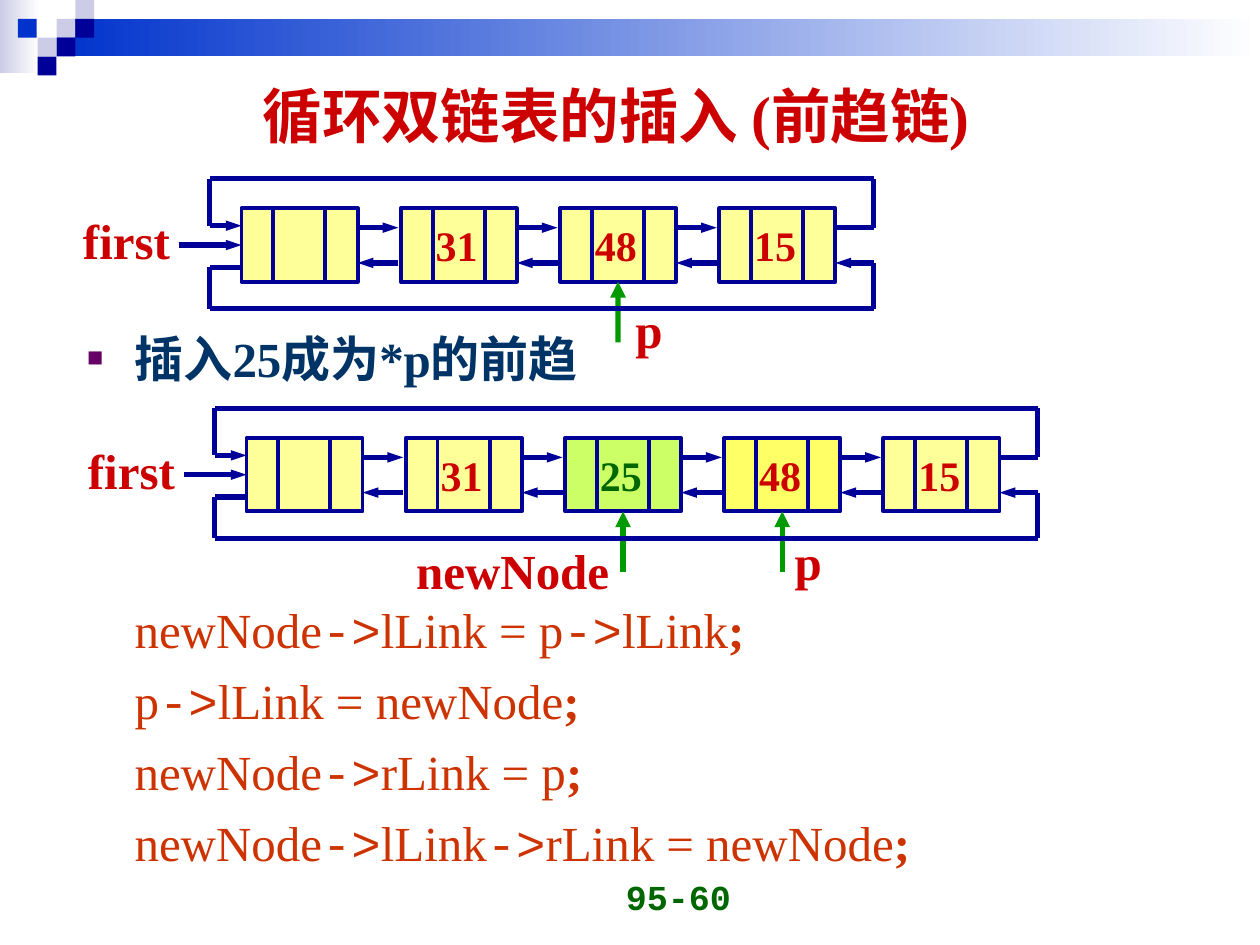
from lxml import etree
from pptx import Presentation
from pptx import util as u
from pptx.dml.color import RGBColor
from pptx.enum import shapes, text
from pptx.oxml import ns

NAVY = RGBColor(0x00, 0x00, 0x99)
BLUE = RGBColor(0x00, 0x33, 0xCC)
LILAC = RGBColor(0xCC, 0xCC, 0xE6)
WHITE = RGBColor(0xFF, 0xFF, 0xFF)
RED = RGBColor(0xCC, 0x00, 0x00)
GREEN = RGBColor(0x00, 0x99, 0x00)
DARK_GREEN = RGBColor(0x00, 0x66, 0x00)
TEAL = RGBColor(0x00, 0x33, 0x66)
RUST = RGBColor(0xCC, 0x33, 0x00)
PALE = RGBColor(0xFF, 0xFF, 0x99)
LIME = RGBColor(0xCC, 0xFF, 0x66)
YELLOW = RGBColor(0xFF, 0xFF, 0x66)
SERIF, MONO = "Times New Roman", "Courier New"

# Content
TITLE = "循环双链表的插入 (前趋链)"
TASK = "插入25成为*p的前趋"
CODE = ["newNode->lLink = p->lLink;", "p->lLink = newNode;",
        "newNode->rLink = p;", "newNode->lLink->rLink = newNode;"]
PAGE = "95-60"
# Nodes: value, fill, text colour
# Pointers: node index, label, label offset from the arrow, label top, width
LISTS = [
    dict(x=4.87, y=4.2,
         nodes=[("", PALE, RED), ("31", PALE, RED), ("48", PALE, RED),
                ("15", PALE, RED)],
         pointers=[(2, "p", 0.1, 1.71, 1.04)]),
    dict(x=4.97, y=8.83,
         nodes=[("", PALE, RED), ("31", PALE, RED), ("25", LIME, DARK_GREEN),
                ("48", YELLOW, RED), ("15", PALE, RED)],
         pointers=[(2, "newNode", -4.42, 1.94, 4.39),
                   (3, "p", 0, 1.76, 1.04)]),
]
# Corner squares: left, top, colour
SQUARES = [(1.14, 0.38, LILAC), (1.52, 0, LILAC), (1.52, 0.38, NAVY),
           (0.76, 0.76, LILAC), (0.36, 0.38, BLUE), (1.14, 0.76, NAVY),
           (0.76, 1.14, NAVY)]

# Diagram measures in cm, relative to a node's corner
PITCH, NODE_W, NODE_H = 3.21, 2.34, 1.48
DIVIDERS = (0.64, 1.69)
NEXT_Y, PREV_Y = 0.39, 1.1
LOOP_TOP, LOOP_BOTTOM = -0.6, 2.02
LOOP_LEFT, LOOP_RIGHT = -0.64, 0.77

prs = Presentation()
prs.slide_width, prs.slide_height = u.Cm(25.4), u.Cm(19.05)
s = prs.slides.add_slide(prs.slide_layouts[1])


def place(sp, x, y, w, h):
    sp.left, sp.top, sp.width, sp.height = map(u.Cm, (x, y, w, h))


def style(r, size, color, name=SERIF, bold=True):
    r.font.size, r.font.name, r.font.bold = u.Pt(size), name, bold
    r.font.color.rgb = color


def add_rect(x, y, w, h, fill, line=None):
    sp = s.shapes.add_shape(shapes.MSO_SHAPE.RECTANGLE,
                            *map(u.Cm, (x, y, w, h)))
    sp.shadow.inherit = False
    if isinstance(fill, tuple) and not isinstance(fill, RGBColor):
        sp.fill.gradient()
        sp.fill.gradient_angle = 0
        for stop, color, pos in zip(sp.fill.gradient_stops, fill, (0, 1)):
            stop.color.rgb, stop.position = color, pos
    else:
        sp.fill.solid()
        sp.fill.fore_color.rgb = fill
    if line:
        sp.line.color.rgb, sp.line.width = line, u.Pt(2.25)
    else:
        sp.line.fill.background()
    return sp


def add_line(x1, y1, x2, y2, color=NAVY, width=3, head=None):
    c = s.shapes.add_connector(shapes.MSO_CONNECTOR.STRAIGHT,
                               *map(u.Cm, (x1, y1, x2, y2)))
    c.line.color.rgb, c.line.width = color, u.Pt(width)
    if head:
        etree.SubElement(c.line._get_or_add_ln(), ns.qn("a:tailEnd"),
                         type="triangle", w=head, len="med")
    etree.SubElement(c._element.spPr, ns.qn("a:effectLst"))
    return c


def add_path(*points):
    """Joined straight lines; returns the last one."""
    for a, b in zip(points, points[1:]):
        add_line(*a, *b)


def add_label(x, y, w, h, words, size, color, name=SERIF,
              align=text.PP_ALIGN.CENTER, anchor=text.MSO_ANCHOR.MIDDLE):
    tf = s.shapes.add_textbox(*map(u.Cm, (x, y, w, h))).text_frame
    tf.word_wrap = False
    tf.vertical_anchor = anchor
    p = tf.paragraphs[0]
    p.text, p.alignment = words, align
    style(p.runs[0], size, color, name)


def set_bullet(p, char=None):
    pPr = p._p.get_or_add_pPr()
    pPr.set("marL", str(u.Cm(0.96)))
    pPr.set("indent", str(u.Cm(-0.96 if char else 0)))
    if char:
        clr = etree.SubElement(pPr, ns.qn("a:buClr"))
        etree.SubElement(clr, ns.qn("a:srgbClr"), val="660066")
        etree.SubElement(pPr, ns.qn("a:buSzPct"), val="55000")
        etree.SubElement(pPr, ns.qn("a:buFont"), typeface=SERIF)
        etree.SubElement(pPr, ns.qn("a:buChar"), char=char)
    else:
        etree.SubElement(pPr, ns.qn("a:buNone"))
    p.line_spacing = 1.05


def draw_list(x, y, nodes, pointers):
    lefts = [x + i * PITCH for i in range(len(nodes))]
    boxes = []
    for left, (_, fill, _) in zip(lefts, nodes):
        boxes.append(add_rect(left, y, NODE_W, NODE_H, fill, NAVY))
        for d in DIVIDERS:
            add_line(left + d, y, left + d, y + NODE_H, width=2.25)
    # Pointers below the nodes
    for i, words, dx, dy, w in pointers:
        mid = lefts[i] + NODE_W / 2
        c = add_line(mid, y + 2.7, mid, y + NODE_H, GREEN, head="med")
        c.end_connect(boxes[i], 2)
        add_label(mid + dx, y + dy, w, 1.45, words, 28, RED)
    # Links between neighbours
    for a, b in zip(lefts, lefts[1:]):
        add_line(a + NODE_W, y + NEXT_Y, b - 0.05, y + NEXT_Y, head="sm")
        add_line(b - 0.05, y + PREV_Y, a + NODE_W, y + PREV_Y, head="sm")
    # Outer loops from the last node to the first
    end = lefts[-1] + NODE_W
    l, r = x + LOOP_LEFT, end + LOOP_RIGHT
    top, bottom = y + LOOP_TOP, y + LOOP_BOTTOM
    add_path((end, y + NEXT_Y), (r, y + NEXT_Y), (r, top), (l, top),
             (l, y + 0.35))
    add_line(l, y + 0.35, x, y + 0.35, head="sm")
    add_path((x, y + 1.19), (l, y + 1.19), (l, bottom), (r, bottom),
             (r, y + PREV_Y))
    add_line(r, y + PREV_Y, end, y + PREV_Y, head="sm")
    # Entry pointer and node values
    c = add_line(x - 1.27, y + NODE_H / 2, x, y + NODE_H / 2, head="sm")
    c.end_connect(boxes[0], 1)
    add_label(x - 3.45, y - 0.09, 2.26, 1.45, "first", 28, RED)
    for left, (value, _, color) in zip(lefts, nodes):
        if value:
            add_label(left + 0.45, y + 0.1, 1.35, 1.27, value, 24, color)


# Banner
add_rect(0, 0, 0.79, 1.47, (LILAC, WHITE))
add_rect(1.14, 0.38, 24.26, 0.76, (BLUE, WHITE))
for left, top, color in SQUARES:
    add_rect(left, top, 0.38, 0.38, color)

# Title
sp = s.shapes.title
place(sp, 0.99, 1.02, 22.86, 2.59)
tf = sp.text_frame
tf.text, tf.vertical_anchor = TITLE, text.MSO_ANCHOR.MIDDLE
tf.paragraphs[0].alignment = text.PP_ALIGN.CENTER
style(tf.paragraphs[0].runs[0], 34, RED)

# Task and code; the gap between them holds the second diagram
sp = s.placeholders[1]
place(sp, 1.5, 6.43, 22.86, 11.71)
tf = sp.text_frame
tf.auto_size = text.MSO_AUTO_SIZE.NONE
tf.text = TASK
p = tf.paragraphs[0]
set_bullet(p, "■")
p.space_before = u.Pt(0)
style(p.runs[0], 28, TEAL)
for i, line in enumerate(CODE):
    p = tf.add_paragraph()
    set_bullet(p)
    p.space_before = u.Pt(5.2 if i else 120)
    for j, part in enumerate(line.rstrip(";").split("->")):
        pieces = [("->", MONO)] if j else []
        for words, name in pieces + [(part, SERIF)]:
            r = p.add_run()
            r.text = words
            style(r, 28, RUST, name, False)
    r = p.add_run()
    r.text = ";"
    style(r, 28, RUST)

# Diagrams and page number
for linked_list in LISTS:
    draw_list(**linked_list)
add_label(9.07, 17.35, 5.92, 1.27, PAGE, 20, DARK_GREEN, MONO,
          text.PP_ALIGN.RIGHT, text.MSO_ANCHOR.BOTTOM)

prs.save("out.pptx")
